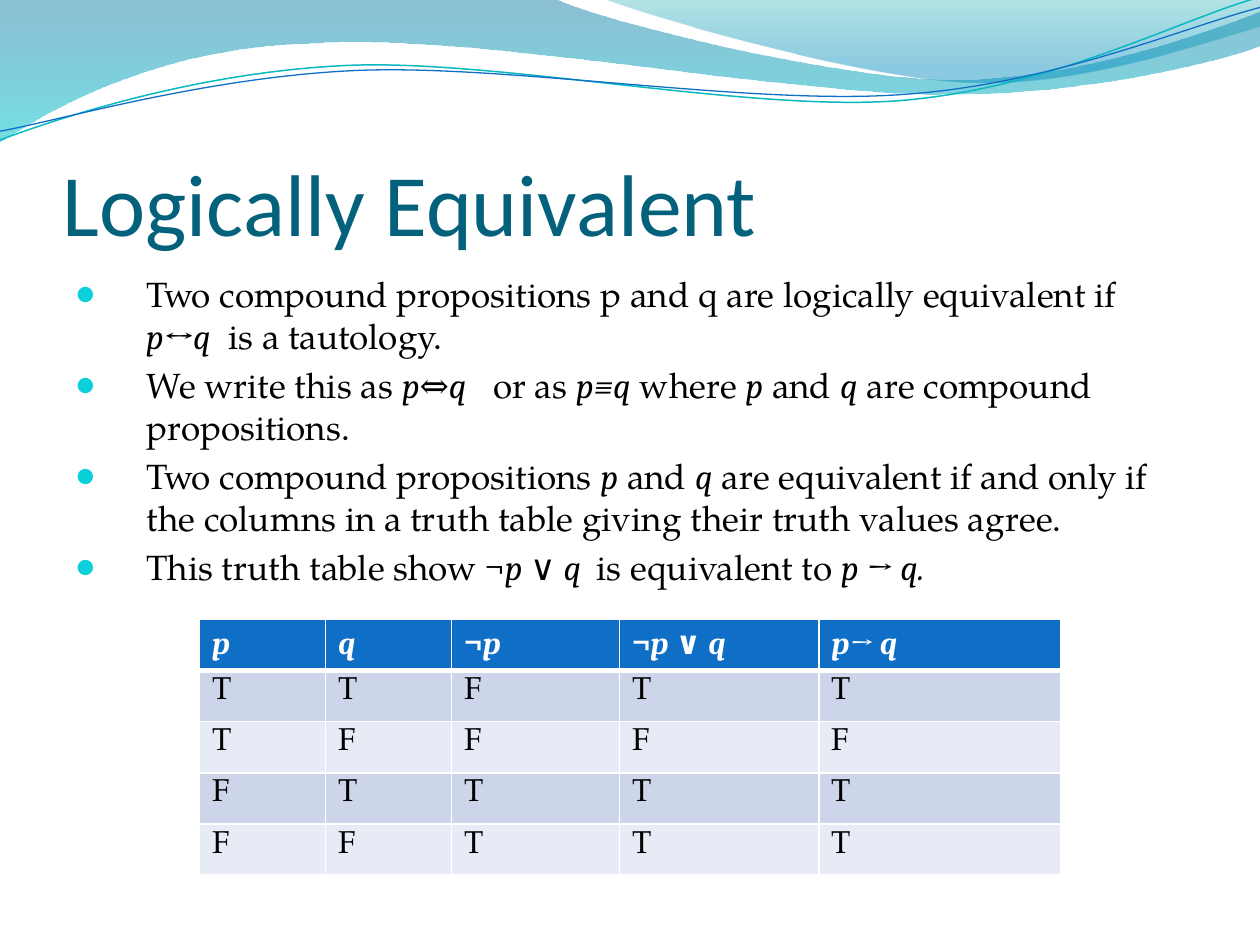
import dataclasses

import lxml.etree
import pptx
import pptx.dml.color
import pptx.enum.text
import pptx.oxml
import pptx.oxml.ns
import pptx.util

Pt = pptx.util.Pt
qn = pptx.oxml.ns.qn


@dataclasses.dataclass(frozen=True)
class Theme:
    """Colours, fonts and type sizes of the slide."""
    title: str = "04617B"
    text: str = "000000"
    white: str = "FFFFFF"
    bullet: str = "0BD0D9"
    header: str = "0F6FC6"
    bands: tuple = ("CCD5EA", "E7EBF5")
    teal_line: str = "0AB8BF"
    blue_line: str = "0F6FC6"
    lower_wave: tuple = ((0, "0074A1", 45), (100, "00C6CF", 55))
    upper_wave: tuple = ((0, "00A1A9", 30), (80, "008BBF", 45))
    title_font: str = "Calibri"
    bullet_font: str = "Calibri"
    body_font: str = "TeX Gyre Pagella"
    math_font: str = "Cambria"
    title_size: int = 50
    body_size: int = 20
    table_size: int = 18


THEME = Theme()


def rgb(color):
    """Return a colour object for a hex string."""
    return pptx.dml.color.RGBColor.from_string(color)


def add_span(para, text, font=THEME.body_font, size=THEME.body_size,
             color=THEME.text, bold=False, italic=False):
    """Append formatted text to a paragraph."""
    span = para.add_run()
    span.text = text
    span.font.name = font
    span.font.size = Pt(size)
    span.font.color.rgb = rgb(color)
    span.font.bold = bold
    span.font.italic = italic


def math(text, italic=True):
    """Return a piece of formula text with its format."""
    return text, {"font": THEME.math_font, "italic": italic}


def plain(text):
    """Return a piece of ordinary text with its format."""
    return text, {}


class SlideBuilder:
    """Holds the theme and the current slide."""

    def __init__(self, page, theme):
        """Keep the slide and its style."""
        self.page = page
        self.theme = theme

    def outline(self, start, segments, close):
        """Add an outline of lines and cubic curves without shadow."""
        corners = [start] + [segment[-2:] for segment in segments]
        left, top = (min(corner[axis] for corner in corners) for axis in (0, 1))
        points = [(Pt(x), Pt(y)) for x, y in corners]
        builder = self.page.shapes.build_freeform(*points[0], scale=1.0)
        builder.add_line_segments(points[1:], close=close)
        shape = builder.convert_to_shape()
        shape.shadow.inherit = False
        for line, segment in zip(list(shape._element.iter(qn("a:lnTo"))), segments):
            if len(segment) == 2:
                continue
            curve = lxml.etree.Element(qn("a:cubicBezTo"))
            for x, y in zip(segment[::2], segment[1::2]):
                lxml.etree.SubElement(curve, qn("a:pt"), x=str(Pt(x - left)), y=str(Pt(y - top)))
            line.getparent().replace(line, curve)
        return shape

    def wave(self, start, segments, stops):
        """Add a wave filled with a translucent vertical gradient."""
        shape = self.outline(start, segments, True)
        shape.line.fill.background()
        shape.fill.gradient()
        gradient = shape.fill._xPr.find(qn("a:gradFill"))
        for child in list(gradient):
            gradient.remove(child)
        stop_list = lxml.etree.SubElement(gradient, qn("a:gsLst"))
        for position, color, opacity in stops:
            stop = lxml.etree.SubElement(stop_list, qn("a:gs"), pos=str(position * 1000))
            tone = lxml.etree.SubElement(stop, qn("a:srgbClr"), val=color)
            lxml.etree.SubElement(tone, qn("a:alpha"), val=str(opacity * 1000))
        lxml.etree.SubElement(gradient, qn("a:lin"), ang="5400000", scaled="0")

    def ribbon(self, start, segments, color, width):
        """Add an open curved line."""
        shape = self.outline(start, segments, False)
        shape.fill.background()
        shape.line.color.rgb = rgb(color)
        shape.line.width = Pt(width)

    def text_box(self, left, top, width, height, margins=(7.2, 3.6, 7.2, 3.6)):
        """Add a wrapping text box and return its frame."""
        box = self.page.shapes.add_textbox(Pt(left), Pt(top), Pt(width), Pt(height))
        frame = box.text_frame
        frame.word_wrap = True
        (frame.margin_left, frame.margin_top,
         frame.margin_right, frame.margin_bottom) = map(Pt, margins)
        return frame

    def title(self, text, *area):
        """Add the slide title."""
        frame = self.text_box(*area, margins=(0, 3.6, 0, 0))
        frame.vertical_anchor = pptx.enum.text.MSO_ANCHOR.BOTTOM
        add_span(frame.paragraphs[0], text, font=self.theme.title_font,
                 size=self.theme.title_size, color=self.theme.title)

    def bullets(self, items, *area):
        """Add a bulleted list of mixed text."""
        frame = self.text_box(*area)
        for index, pieces in enumerate(items):
            para = frame.add_paragraph() if index else frame.paragraphs[0]
            para.space_before = Pt(4)
            properties = para._p.get_or_add_pPr()
            properties.set("marL", str(Pt(40.5)))
            properties.set("indent", str(Pt(-40.5)))
            color = lxml.etree.SubElement(properties, qn("a:buClr"))
            lxml.etree.SubElement(color, qn("a:srgbClr"), val=self.theme.bullet)
            lxml.etree.SubElement(properties, qn("a:buSzPct"), val="95000")
            lxml.etree.SubElement(properties, qn("a:buFont"), typeface=self.theme.bullet_font)
            lxml.etree.SubElement(properties, qn("a:buChar"), char="●")
            for text, style in pieces:
                add_span(para, text, **style)

    def border(self, cell, side, width):
        """Draw one white cell border."""
        line = lxml.etree.SubElement(cell._tc.get_or_add_tcPr(), qn("a:ln" + side),
                                     w=str(Pt(width)))
        fill = lxml.etree.SubElement(line, qn("a:solidFill"))
        lxml.etree.SubElement(fill, qn("a:srgbClr"), val=self.theme.white)

    def table(self, header, rows, widths, left, top, row_height):
        """Add a truth table with a header and banded rows."""
        cells = [header] + [[[plain(value)] for value in row] for row in rows]
        table = self.page.shapes.add_table(
            len(cells), len(widths), Pt(left), Pt(top),
            Pt(sum(widths)), Pt(row_height * len(cells))).table
        table.horz_banding = False
        for column, width in zip(table.columns, widths):
            column.width = Pt(width)
        for index, row in enumerate(cells):
            table.rows[index].height = Pt(row_height)
            head = index == 0
            color = self.theme.header if head else self.theme.bands[(index - 1) % 2]
            ink = self.theme.white if head else self.theme.text
            for cell, pieces in zip(table.rows[index].cells, row):
                for side, edge in (("L", 0), ("R", 0), ("T", index == 1), ("B", head)):
                    self.border(cell, side, 3 if edge else 1)
                cell.fill.solid()
                cell.fill.fore_color.rgb = rgb(color)
                for text, style in pieces:
                    add_span(cell.text_frame.paragraphs[0], text, color=ink, bold=head,
                             size=self.theme.table_size, **style)


deck = pptx.Presentation()
deck.slide_width, deck.slide_height = Pt(720), Pt(540)
slide = SlideBuilder(deck.slides.add_slide(deck.slide_layouts[6]), THEME)

slide.wave((0, 0), [(317, -0.7), (343, 12, 478, 45.4, 546, 45.4),
                    (614, 45.4, 690, 18.7, 720, 6.5), (720.7, 26),
                    (708, 31.7, 626, 54.7, 537, 54), (448, 54, 275, 20, 185, 24.5),
                    (93, 26, 33, 60, -0.7, 81.4), (0, 0)], THEME.lower_wave)
slide.wave((345, -0.7), [(366, 8, 491, 44.6, 554, 46.8), (616, 49.7, 692, 23, 720, 15),
                         (720, 0), (345, -0.7)], THEME.upper_wave)
slide.ribbon((0, 80), [(34.6, 67, 114, 41, 199, 37.4), (284, 33.8, 427, 64, 513, 57.6),
                       (600, 51, 675, 10.8, 719, -1.4)], THEME.teal_line, 0.85)
slide.ribbon((0, 75), [(33.8, 69, 118, 44, 204, 40.3), (290, 36.7, 430, 60.5, 516, 54),
                       (602, 48.2, 678, 15, 720, 4.3)], THEME.blue_line, 0.75)

slide.title("Logically Equivalent", 36, 55, 648, 90)
slide.bullets([
    [plain("Two compound propositions p and q are logically equivalent if "),
     math("p↔q"), plain("  is a tautology.")],
    [plain("We write this as "), math("p⇔q"), plain("   or as "), math("p≡q"), plain(" where "),
     math("p"), plain(" and "), math("q"), plain(" are compound propositions.")],
    [plain("Two compound propositions "), math("p"), plain(" and "), math("q"),
     plain(" are equivalent if and only if the columns in a truth table "
           "giving their truth values agree.")],
    [plain("This truth table show "), math("¬", False), math("p "), math("∨ ", False),
     math("q  "), plain("is equivalent to "), math("p → q.")],
], 36, 152, 648, 345.5)
slide.table(
    [[math("p")], [math("q")], [math("¬", False), math("p")],
     [math("¬", False), math("p "), math("∨ ", False), math("q")], [math("p→ q")]],
    ["TTFTT", "TFFFF", "FTTTT", "FFTTT"], [72, 72, 96, 114, 138], 114, 354, 29.2)

deck.save("out.pptx")
